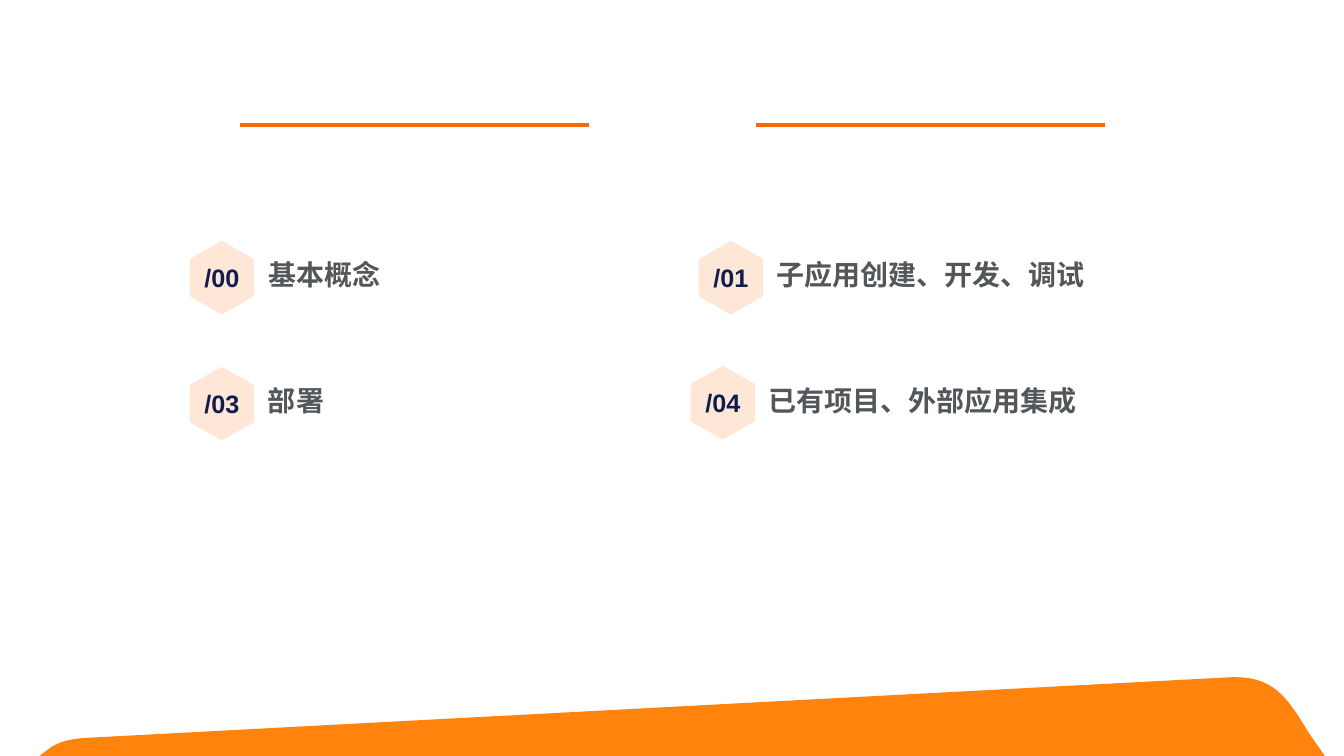
from lxml.etree import SubElement
from pptx import Presentation
from pptx.dml.color import RGBColor
from pptx.enum.shapes import MSO_CONNECTOR
from pptx.enum.text import MSO_ANCHOR, MSO_AUTO_SIZE, PP_ALIGN
from pptx.oxml.ns import qn
from pptx.util import Inches, Pt

COLORS = {
    "band": "FF830D",
    "rule": "FF6A00",
    "badge": "FFE2CF",
    "number": "111C4E",
    "topic": "54575A",
}
TOPIC_FONT = {"name": "Noto Sans CJK SC", "size": Pt(20), "bold": True}
NUMBER_FONT = {"name": "Arial", "size": Pt(18), "bold": True}
TOPIC_FRAME = {
    "word_wrap": True,
    "auto_size": MSO_AUTO_SIZE.NONE,
    "vertical_anchor": MSO_ANCHOR.MIDDLE,
}
NUMBER_FRAME = {
    "word_wrap": False,
    "vertical_anchor": MSO_ANCHOR.MIDDLE,
    "margin_left": 0,
    "margin_right": 0,
    "margin_top": 0,
    "margin_bottom": 0,
}
TITLE_PARAGRAPH = {
    "alignment": PP_ALIGN.LEFT,
    "line_spacing": 0.9,
    "space_before": Pt(0),
}
TOPIC_PARAGRAPH = {**TITLE_PARAGRAPH, "space_before": Pt(10)}
NUMBER_PARAGRAPH = {"alignment": PP_ALIGN.CENTER}

BAND = [
    (12.19, 6.72),
    (12.63, 6.7, 12.76, 6.91, 12.98, 7.27),
    (13.14, 7.5),
    (0.39, 7.5),
    (0.47, 7.44),
    (0.57, 7.36, 0.69, 7.33, 0.87, 7.32),
]
HEXAGON = [
    (0.3, 0.01),
    (0.02, 0.17),
    (0.01, 0.17, 0, 0.19, 0, 0.2),
    (0, 0.53),
    (0, 0.54, 0.01, 0.56, 0.02, 0.56),
    (0.3, 0.72),
    (0.31, 0.73, 0.33, 0.73, 0.34, 0.72),
    (0.62, 0.56),
    (0.63, 0.56, 0.64, 0.54, 0.64, 0.53),
    (0.64, 0.2),
    (0.64, 0.19, 0.63, 0.17, 0.62, 0.17),
    (0.34, 0.01),
    (0.33, 0, 0.31, 0, 0.3, 0.01),
]
TITLE = ("基本概念", 2.56, 2.49)
TOPICS = [
    ("部署", 2.56, 3.74),
    ("子应用创建、开发、调试", 7.6, 2.49),
    ("已有项目、外部应用集成", 7.52, 3.74),
]
BADGES = [
    ("/00", 1.88, 2.39),
    ("/03", 1.88, 3.64),
    ("/01", 6.93, 2.39),
    ("/04", 6.85, 3.63),
]
RULE_LEFTS = [2.38, 7.5]


def apply(target, values):
    for attribute, value in values.items():
        setattr(target, attribute, value)


def write(shape, text, frame_format, paragraph_format, font_format, color):
    frame = shape.text_frame
    apply(frame, frame_format)
    paragraph = frame.paragraphs[0]
    apply(paragraph, paragraph_format)
    run = paragraph.add_run()
    run.text = text
    apply(run.font, font_format)
    run.font.color.rgb = RGBColor.from_string(COLORS[color])
    east_asian = SubElement(run._r.get_or_add_rPr(), qn("a:ea"))
    east_asian.set("typeface", font_format["name"])


def bend_curves(shape, outline):
    sides = shape._element.findall(".//" + qn("a:lnTo"))
    for segment in outline[1:]:
        count = len(segment) // 2
        controls, sides = sides[:count], sides[count:]
        if count == 3:
            outline_node = controls[0].getparent()
            curve = SubElement(outline_node, qn("a:cubicBezTo"))
            controls[0].addprevious(curve)
            for control in controls:
                curve.append(control[0])
                outline_node.remove(control)


def add_outline(slide, outline, color, left=0, top=0):
    vertices = [
        (Inches(left + x), Inches(top + y))
        for segment in outline
        for x, y in zip(segment[::2], segment[1::2])
    ]
    closed = outline[0] != outline[-1][-2:]
    builder = slide.shapes.build_freeform(*vertices[0])
    builder.add_line_segments(vertices[1:], close=closed)
    shape = builder.convert_to_shape()
    bend_curves(shape, outline)
    shape.shadow.inherit = False
    shape.fill.solid()
    shape.fill.fore_color.rgb = RGBColor.from_string(COLORS[color])
    shape.line.fill.background()
    return shape


def add_rule(slide, left):
    rule = slide.shapes.add_connector(
        MSO_CONNECTOR.STRAIGHT,
        Inches(left), Inches(1.24), Inches(left + 3.46), Inches(1.24),
    )
    rule.line.color.rgb = RGBColor.from_string(COLORS["rule"])
    rule.line.width = Pt(2.25)
    SubElement(rule._element.spPr, qn("a:effectLst"))


def add_badge(slide, number, left, top):
    badge = add_outline(slide, HEXAGON, "badge", left, top)
    fill_color = badge._element.spPr.find(qn("a:solidFill"))[0]
    SubElement(fill_color, qn("a:alpha")).set("val", "80000")
    write(badge, number, NUMBER_FRAME, NUMBER_PARAGRAPH, NUMBER_FONT, "number")


def place_topic(topic, text, left, top, paragraph_format):
    position = {
        "left": Inches(left),
        "top": Inches(top),
        "width": Inches(3.94),
        "height": Inches(0.51),
    }
    apply(topic, position)
    write(topic, text, TOPIC_FRAME, paragraph_format, TOPIC_FONT, "topic")


def main():
    presentation = Presentation()
    presentation.slide_width = Inches(13.33)
    presentation.slide_height = Inches(7.5)
    slide = presentation.slides.add_slide(presentation.slide_layouts[5])

    add_outline(slide, BAND, "band")
    for left in RULE_LEFTS:
        add_rule(slide, left)
    place_topic(slide.shapes.title, *TITLE, TITLE_PARAGRAPH)
    for text, left, top in TOPICS:
        topic = slide.shapes.add_textbox(0, 0, 0, 0)
        place_topic(topic, text, left, top, TOPIC_PARAGRAPH)
    for number, left, top in BADGES:
        add_badge(slide, number, left, top)

    presentation.save("out.pptx")


if __name__ == "__main__":
    main()
